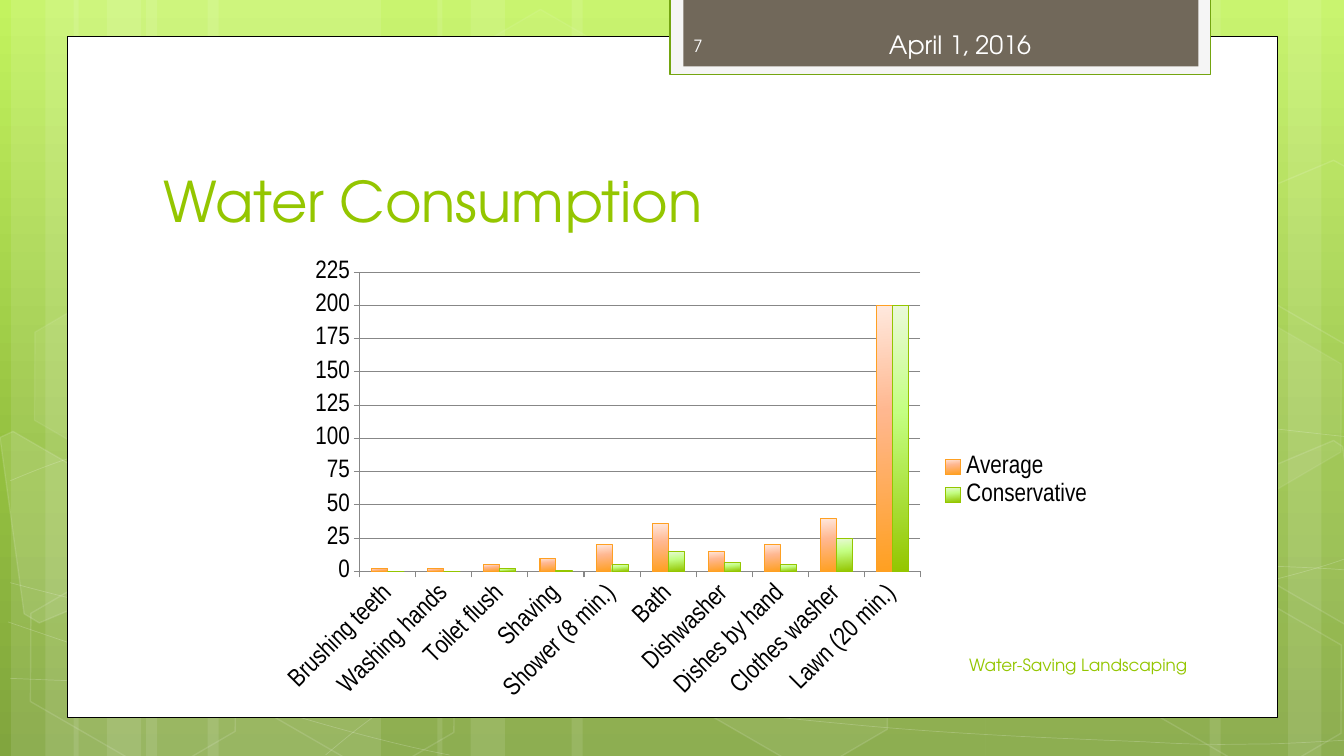
from typing import NamedTuple

from pptx import Presentation
from pptx.chart.data import CategoryChartData
from pptx.dml.color import RGBColor
from pptx.enum import chart as charts, shapes, text
from pptx.oxml import parse_xml
from pptx.oxml.ns import nsdecls, qn
from pptx.util import Inches, Pt

Points = list[tuple[float, float]]
Stops = list[tuple[int, str]]


class Theme(NamedTuple):
    heading_font: str = "TeX Gyre Adventor"
    chart_font: str = "Arial Narrow"
    white: str = "FFFFFF"
    black: str = "000000"
    green: str = "94C600"
    orange: str = "FEA022"
    tab_edge: str = "74A510"
    tab_back: str = "F5F5F5"
    tab_front: str = "71685A"
    page_number: str = "FEFEFE"
    grid: str = "878787"
    title_size: int = 40
    large_size: int = 18
    small_size: int = 12
    sky: Stops = [(0, "C3F35F"), (62, "93BF3F"), (100, "81A53E")]
    peach: Stops = [(0, "FFE9DE"), (40, "FFB78F"), (100, "FFA021")]
    lime: Stops = [(0, "EAF9DA"), (40, "C4FF82"), (100, "94C600")]


class Paint(NamedTuple):
    """Fill and line colours, with opacities in percent."""
    fill: str | None = None
    fill_alpha: int = 100
    line: str | None = None
    line_alpha: int = 100
    width: float = 1


class Box(NamedTuple):
    left: float
    top: float
    width: float
    height: float


class Label(NamedTuple):
    words: str
    box: Box
    size: int
    color: str
    align: text.PP_ALIGN = text.PP_ALIGN.LEFT
    anchor: text.MSO_ANCHOR = text.MSO_ANCHOR.MIDDLE


class Usage(NamedTuple):
    name: str
    gallons: list[int]
    stops: Stops
    edge: str


THEME = Theme()
STREAKS = [(1.45, 2.33), (0.11, 0.67), (0.45, 1.11), (2.06, 2.33), (0.73, 0.67), (1.06, 1.11),
           (9.78, 2.33), (12.78, 0.67), (12, 1.11), (5.67, 4.11), (4.34, 0.67), (4.67, 1.11)]
# Each wave is a start point followed by triples of Bézier points.
WAVES: list[Points] = [
    [(0.1, 6.73), (0.82, 6.76), (1.54, 6.79), (2.54, 6.78), (3.54, 6.77), (4.77, 6.75), (6.1, 6.65),
     (7.44, 6.55), (9.33, 6.36), (10.55, 6.17), (11.78, 5.98), (13.03, 5.68), (13.43, 5.51)],
    [(0.1, 4.77), (0.48, 4.61), (0.86, 4.46), (1.62, 4.31), (2.38, 4.16), (3.45, 3.94), (4.63, 3.87),
     (5.82, 3.8), (7.25, 3.79), (8.72, 3.87), (10.19, 3.95), (12.63, 4.26), (13.43, 4.34)],
    [(0.08, 6.17), (1.69, 6.72), (3.3, 7.27), (4.46, 7.49)],
    [(0.1, 5.78), (0.51, 5.89), (0.93, 6), (1.71, 6.16), (2.48, 6.31), (3.64, 6.56), (4.75, 6.73),
     (5.86, 6.9), (7.27, 7.08), (8.37, 7.18), (9.48, 7.29), (10.66, 7.33), (11.37, 7.36),
     (12.07, 7.4), (12.25, 7.38), (12.6, 7.38), (12.94, 7.37), (13.19, 7.35), (13.43, 7.34)],
    [(3.23, 7.49), (3.47, 7.29), (3.7, 7.09), (4.03, 6.91), (4.35, 6.73), (4.8, 6.53), (5.17, 6.39),
     (5.54, 6.25), (5.77, 6.19), (6.26, 6.09), (6.75, 5.99), (7.65, 5.85), (8.11, 5.78),
     (8.58, 5.71), (8.65, 5.71), (9.07, 5.69), (9.48, 5.66), (10.13, 5.63), (10.59, 5.62),
     (11.05, 5.61), (11.82, 5.62), (11.82, 5.62), (11.82, 5.62), (12.7, 5.62), (12.7, 5.62),
     (12.95, 5.63), (13.17, 5.64), (13.29, 5.65), (13.41, 5.66), (13.37, 5.65), (13.41, 5.66)]]
# Left, top, fill opacity and line opacity.
HEXAGONS = [(4.45, 0.36, 4, 8), (6.62, 5.89, 6, 12), (0.15, 5.91, 0, 12), (0.19, 3.12, 7, 8),
            (2.32, 5.92, 0, 12), (11.12, 5.93, 0, 12), (11.12, 3.14, 7, 8)]
CUT_HEXAGONS: list[tuple[int, Points]] = [
    (10, [(0, 4.34), (0.13, 4.28), (1.15, 4.87), (1.27, 5.81), (0.39, 6.18), (0.24, 6.09)]),
    (4, [(12.35, 4.74), (13.23, 4.37), (13.32, 4.43), (13.57, 6.25), (13.49, 6.28), (12.47, 5.69)]),
    (0, [(12.35, 1.96), (13.23, 1.59), (13.34, 1.65), (13.57, 3.46), (13.49, 3.5), (12.47, 2.91)])]
PANELS = [(Box(0.67, 0.36, 12, 6.76), Paint(THEME.white, line=THEME.black, width=0.5)),
          (Box(6.65, -0.02, 5.36, 0.76), Paint(THEME.tab_back, line=THEME.tab_edge, width=1.25)),
          (Box(6.78, -0.02, 5.11, 0.68), Paint(THEME.tab_front))]
TITLE = Label("Water Consumption", Box(1.52, 1.12, 10.24, 1.25), THEME.title_size, THEME.green,
              anchor=text.MSO_ANCHOR.BOTTOM)
LABELS = [Label("April 1, 2016", Box(8.72, 0.24, 3.15, 0.4), THEME.large_size, THEME.white,
                anchor=text.MSO_ANCHOR.TOP),
          Label("Water-Saving Landscaping", Box(6.77, 6.4, 5.11, 0.4), THEME.small_size, THEME.green,
                text.PP_ALIGN.RIGHT),
          Label("7", Box(6.78, 0.25, 1.94, 0.4), THEME.small_size, THEME.page_number)]
CHART, PLOT = Box(2.67, 2.5, 8.28, 4.54), Box(0.9, 0.2, 5.56, 2.97)
ACTIVITIES = ["Brushing teeth", "Washing hands", "Toilet flush", "Shaving", "Shower (8 min.)", "Bath",
              "Dishwasher", "Dishes by hand", "Clothes washer", "Lawn (20 min.)"]
USAGES = [Usage("Average", [2, 2, 5, 10, 20, 36, 15, 20, 40, 200], THEME.peach, THEME.orange),
          Usage("Conservative", [0, 0, 2, 1, 5, 15, 7, 5, 25, 200], THEME.lime, THEME.green)]


def set_gradient(fill, owner, stops: Stops, degrees: int) -> None:
    """Give fill, which lies inside the XML element owner, a clockwise linear gradient."""
    fill.gradient()
    gradient = next(owner.iter(qn("a:gradFill")))
    listing = "".join(f'<a:gs pos="{at * 1000}"><a:srgbClr val="{color}"/></a:gs>' for at, color in stops)
    gradient.replace(gradient.find(qn("a:gsLst")), parse_xml(f'<a:gsLst {nsdecls("a")}>{listing}</a:gsLst>'))
    gradient.find(qn("a:lin")).set("ang", str(degrees * 60000))


def apply_paint(shape, paint: Paint) -> None:
    shape.shadow.inherit = False
    for fill, tag, color, alpha in ((shape.fill, "a:solidFill", paint.fill, paint.fill_alpha),
                                    (shape.line.fill, "a:ln", paint.line, paint.line_alpha)):
        if not color:
            fill.background()
            continue
        fill.solid()
        fill.fore_color.rgb = RGBColor.from_string(color)
        if alpha < 100:
            tint = next(shape.element.spPr.find(qn(tag)).iter(qn("a:srgbClr")))
            tint.append(parse_xml(f'<a:alpha {nsdecls("a")} val="{alpha * 1000}"/>'))
    if paint.line:
        shape.line.width = Pt(paint.width)


def add_preset(slide, kind, box: Box, paint: Paint):
    shape = slide.shapes.add_shape(kind, *map(Inches, box))
    apply_paint(shape, paint)
    return shape


def add_outline(slide, points: Points, paint: Paint, close: bool):
    start, *rest = [(Inches(x), Inches(y)) for x, y in points]
    builder = slide.shapes.build_freeform(*start, scale=1.0)
    builder.add_line_segments(rest, close=close)
    shape = builder.convert_to_shape()
    apply_paint(shape, paint)
    return shape


def bend(shape) -> None:
    """Turn each three straight segments into one cubic Bézier."""
    segments = list(shape.element.iter(qn("a:lnTo")))
    for first in range(0, len(segments), 3):
        curve = parse_xml(f'<a:cubicBezTo {nsdecls("a")}/>')
        segments[first].addprevious(curve)
        for segment in segments[first:first + 3]:
            curve.append(segment[0])
            segment.getparent().remove(segment)


def style_font(font, name: str, size: int, color: str) -> None:
    font.name, font.size, font.color.rgb = name, Pt(size), RGBColor.from_string(color)


def write_label(shape, label: Label) -> None:
    frame = shape.text_frame
    frame.word_wrap, frame.auto_size = True, text.MSO_AUTO_SIZE.NONE
    frame.vertical_anchor = label.anchor
    frame.paragraphs[0].alignment = label.align
    run = frame.paragraphs[0].add_run()
    run.text = label.words
    style_font(run.font, THEME.heading_font, label.size, label.color)


def add_backdrop(slide) -> None:
    white = THEME.white
    set_gradient(slide.background.fill, slide.element, THEME.sky, 90)
    for left, width in STREAKS:
        add_preset(slide, shapes.MSO_SHAPE.RECTANGLE, Box(left, 0, width, 7.5), Paint(white, 10))
    for wave in WAVES:
        bend(add_outline(slide, wave, Paint(line=white, line_alpha=20, width=0.5), close=False))
    for left, top, fill_alpha, line_alpha in HEXAGONS:
        cell = add_preset(slide, shapes.MSO_SHAPE.HEXAGON, Box(left, top, 2.34, 1.52),
                          Paint(white if fill_alpha else None, fill_alpha, white, line_alpha))
        cell.adjustments[0], cell.rotation = 0.285, 30
    for fill_alpha, corners in CUT_HEXAGONS:
        add_outline(slide, corners, Paint(white if fill_alpha else None, fill_alpha, white, 12), close=True)
    for box, paint in PANELS:
        add_preset(slide, shapes.MSO_SHAPE.RECTANGLE, box, paint)


def add_consumption_chart(slide) -> None:
    consumption = CategoryChartData()
    consumption.categories = ACTIVITIES
    for usage in USAGES:
        consumption.add_series(usage.name, usage.gallons)
    chart = slide.shapes.add_chart(charts.XL_CHART_TYPE.COLUMN_CLUSTERED, *map(Inches, CHART), consumption).chart
    chart.has_title, chart.has_legend = False, True
    chart.legend.position, chart.legend.include_in_layout = charts.XL_LEGEND_POSITION.RIGHT, False
    plot, activities, gallons = chart.plots[0], chart.category_axis, chart.value_axis
    plot.gap_width, plot.overlap, plot.vary_by_categories = 150, 0, False
    for series, usage in zip(plot.series, USAGES):
        set_gradient(series.format.fill, series._element, usage.stops, 84)
        series.format.line.color.rgb, series.format.line.width = RGBColor.from_string(usage.edge), Pt(0.75)
    for font in (chart.legend.font, activities.tick_labels.font, gallons.tick_labels.font):
        style_font(font, THEME.chart_font, THEME.large_size, THEME.black)
    gallons.minimum_scale, gallons.maximum_scale, gallons.major_unit = 0, 225, 25
    activities.major_tick_mark = gallons.major_tick_mark = charts.XL_TICK_MARK.OUTSIDE
    for ruled in (activities, gallons, gallons.major_gridlines):
        ruled.format.line.color.rgb, ruled.format.line.width = RGBColor.from_string(THEME.grid), Pt(0.75)
    next(activities._element.iter(qn("a:bodyPr"))).set("rot", str(-45 * 60000))
    area = next(chart.element.iter(qn("c:plotArea")))
    for automatic in area.findall(qn("c:layout")):
        area.remove(automatic)
    shares = zip("xywh", PLOT, (CHART.width, CHART.height) * 2)
    places = "".join(f'<c:{key} val="{part / whole}"/>' for key, part, whole in shares)
    area.insert(0, parse_xml(f'<c:layout {nsdecls("c")}><c:manualLayout><c:layoutTarget val="inner"/>'
                             f'<c:xMode val="edge"/><c:yMode val="edge"/>{places}</c:manualLayout></c:layout>'))


def main() -> None:
    deck = Presentation()
    deck.slide_width, deck.slide_height = Inches(40 / 3), Inches(7.5)
    slide = deck.slides.add_slide(deck.slide_layouts[5])
    add_backdrop(slide)
    heading = slide.shapes.title
    heading.left, heading.top, heading.width, heading.height = map(Inches, TITLE.box)
    write_label(heading, TITLE)
    slide.shapes._spTree.append(heading.element)
    add_consumption_chart(slide)
    for label in LABELS:
        write_label(slide.shapes.add_textbox(*map(Inches, label.box)), label)
    deck.save("out.pptx")


if __name__ == "__main__":
    main()
